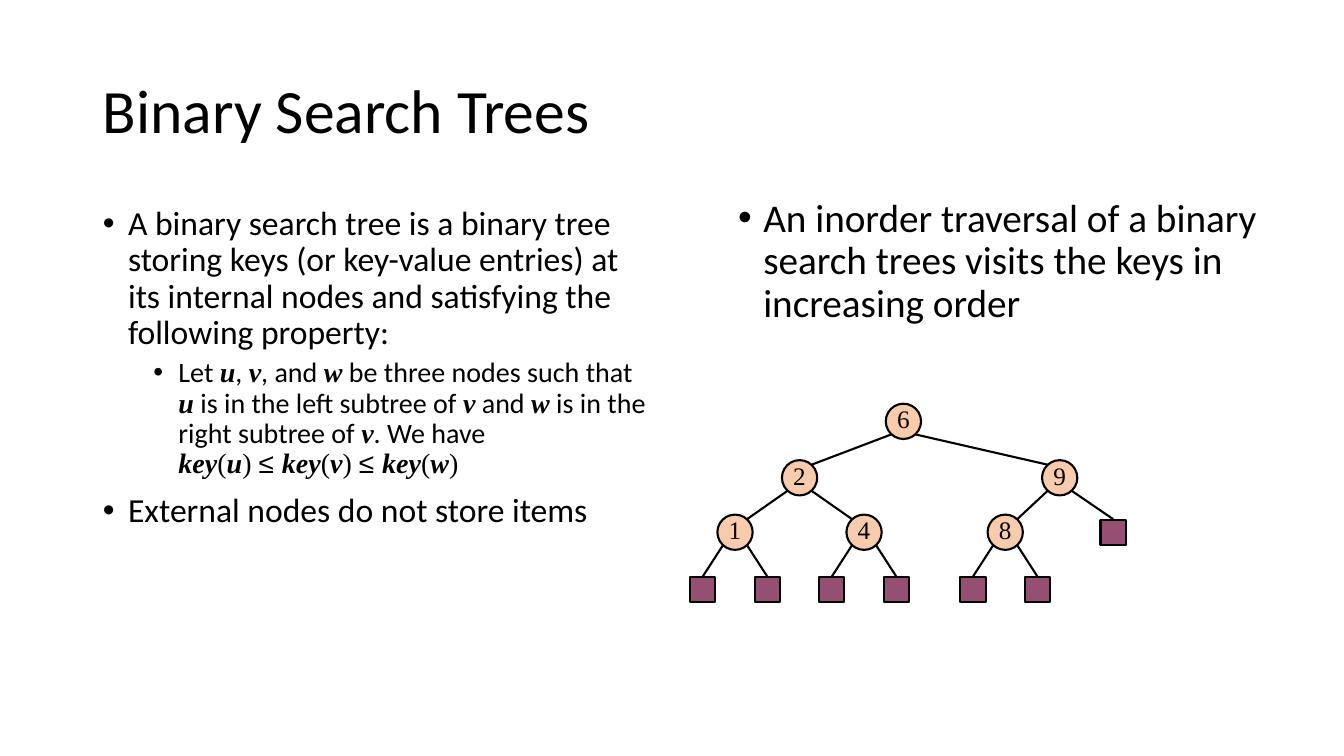
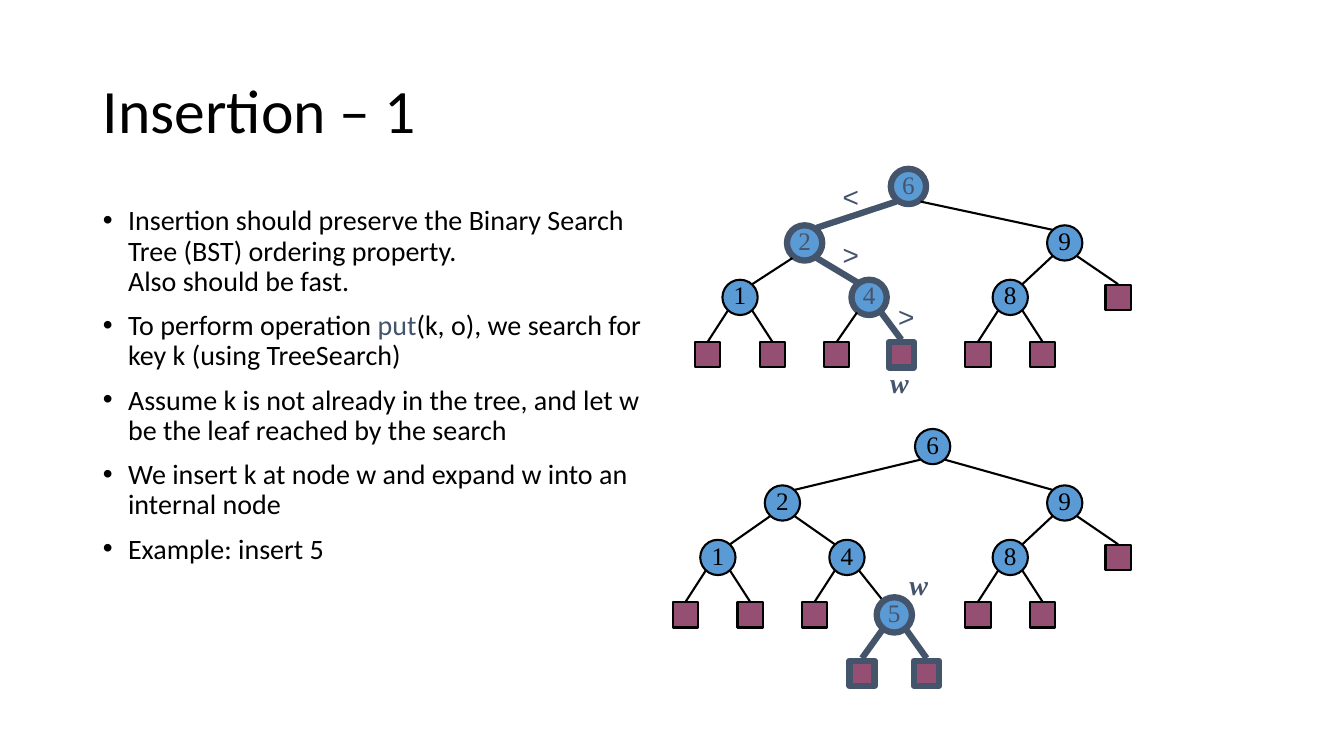
from dataclasses import dataclass
from lxml import etree
from pptx import Presentation
from pptx import util as u
from pptx.dml import color
from pptx.enum import shapes, text
from pptx.oxml import ns

COLORS = {
    "ink": "000000",
    "accent": "44546A",
    "peach": "F8CBAD",
    "blue": "5B9BD5",
    "leaf": "954F72",
}
SANS, SERIF, SYMBOL = "Calibri", "Times New Roman", "Arial"
STYLES = {
    "plain": (SANS, False, "ink"),
    "variable": (SERIF, True, "ink"),
    "math": (SERIF, False, "ink"),
    "symbol": (SYMBOL, False, "ink"),
    "accent": (SANS, False, "accent"),
    "comparison": (SYMBOL, False, "accent"),
    "marker": (SERIF, True, "accent"),
    "key": (SERIF, False, "ink"),
    "found key": (SERIF, False, "accent"),
}

TITLE_BOX = (0.92, 0.4, 11.5, 1.45)
BODY_BOX = (0.92, 2, 5.67, 4.76)
ASIDE_BOX = (7.22, 1.92, 5.44, 1.52)

LEVELS = (0.18, 0.74, 1.28, 1.85, 2.43)
CIRCLE, SQUARE = 0.35, 0.25
CORNER = 0.12
LEAF_SPREAD = 0.32


@dataclass
class Node:
    offset: float
    key: str = ""
    children: tuple = ()
    found: bool = False


def rgb(name):
    return color.RGBColor.from_string(COLORS[name])


def place(shape, box):
    shape.left, shape.top, shape.width, shape.height = map(u.Inches, box)


def style_run(run, style, size):
    family, emphasis, tint = STYLES[style]
    run.font.name = family
    run.font.size = u.Pt(size)
    run.font.bold = run.font.italic = emphasis
    run.font.color.rgb = rgb(tint)


def style_line(line, found):
    line.color.rgb = rgb("accent" if found else "ink")
    line.width = u.Pt(4.5 if found else 1.5)


def add_title(slide, wording):
    title = slide.shapes.title
    place(title, TITLE_BOX)
    frame = title.text_frame
    frame.text = wording
    frame.auto_size = text.MSO_AUTO_SIZE.NONE
    frame.vertical_anchor = text.MSO_ANCHOR.MIDDLE
    paragraph = frame.paragraphs[0]
    paragraph.alignment = text.PP_ALIGN.LEFT
    paragraph.line_spacing = 0.9
    style_run(paragraph.runs[0], "plain", 44)


def format_bullet(paragraph, level):
    paragraph.level = level
    paragraph.line_spacing = 0.9
    paragraph.space_before = u.Pt(5 if level else 10)
    properties = paragraph._p.get_or_add_pPr()
    properties.set("marL", str(u.Inches(0.25 + 0.5 * level)))
    properties.set("indent", str(u.Inches(-0.25)))
    etree.SubElement(properties, ns.qn("a:buFont"), typeface=SYMBOL)
    etree.SubElement(properties, ns.qn("a:buChar"), char="•")


def add_segments(paragraph, segments, size):
    for wording, style in segments:
        lines = wording.split("\n")
        for index, line in enumerate(lines):
            if index:
                paragraph.add_line_break()
            if line:
                run = paragraph.add_run()
                run.text = line
                style_run(run, style, size)
    for line_break in paragraph._p.findall(ns.qn("a:br")):
        etree.SubElement(line_break, ns.qn("a:rPr"), sz=str(size * 100))


def add_bullets(placeholder, box, bullets):
    place(placeholder, box)
    frame = placeholder.text_frame
    frame.auto_size = text.MSO_AUTO_SIZE.NONE
    for index, (level, size, segments) in enumerate(bullets):
        paragraph = frame.add_paragraph() if index else frame.paragraphs[0]
        format_bullet(paragraph, level)
        add_segments(paragraph, segments, size)


def marked(wording, emphasis):
    return [
        (part, emphasis if index % 2 else "plain")
        for index, part in enumerate(wording.split("|"))
    ]


def key_order(names):
    segments = []
    for index, name in enumerate(names):
        if index:
            segments += [(" ", "math"), ("≤ ", "symbol")]
        segments += [("key", "variable"), ("(", "math"), (name, "variable"), (")", "math")]
    return segments


def leaves(found=(False, False)):
    return tuple(
        Node(side * LEAF_SPREAD, found=mark) for side, mark in zip((-1, 1), found)
    )


def search_tree(root=2.13, left=-1.03, four=None, path_found=False):
    four = four or Node(0.64, "4", leaves((False, path_found)), path_found)
    one = Node(-0.64, "1", leaves())
    two = Node(left, "2", (one, four), path_found)
    eight = Node(-0.54, "8", leaves())
    nine = Node(3.68 - root, "9", (eight, Node(0.53)))
    return Node(root, "6", (two, nine), path_found)


def add_node(slide, node, x, y, fill):
    size = CIRCLE if node.key else SQUARE
    preset = shapes.MSO_SHAPE.OVAL if node.key else shapes.MSO_SHAPE.RECTANGLE
    box = map(u.Inches, (x - size / 2, y - size / 2, size, size))
    shape = slide.shapes.add_shape(preset, *box)
    shape.shadow.inherit = False
    shape.fill.solid()
    shape.fill.fore_color.rgb = rgb(fill if node.key else "leaf")
    style_line(shape.line, node.found)
    if node.key:
        frame = shape.text_frame
        frame.text = node.key
        frame.word_wrap = False
        frame.margin_left = frame.margin_right = frame.margin_top = 0
        frame.margin_bottom = u.Inches(0.05)
        frame.vertical_anchor = text.MSO_ANCHOR.MIDDLE
        frame.paragraphs[0].alignment = text.PP_ALIGN.CENTER
        style_run(frame.paragraphs[0].runs[0], "found key" if node.found else "key", 18)


def add_edge(slide, start, end, found):
    edge = slide.shapes.add_connector(
        shapes.MSO_CONNECTOR.STRAIGHT, *map(u.Inches, start + end)
    )
    style_line(edge.line, found)
    etree.SubElement(edge._element.spPr, ns.qn("a:effectLst"))


def reach(node):
    return 0.15 if node.found else 0.13


def add_tree(slide, origin, node, fill, parent_x=0, depth=0):
    left, top = origin
    x = parent_x + node.offset
    y = top + LEVELS[depth]
    add_node(slide, node, left + x, y, fill)
    for child in node.children:
        side = 1 if child.offset > 0 else -1
        child_x = left + x + child.offset
        child_y = top + LEVELS[depth + 1]
        start = (left + x + side * CORNER, y + reach(node))
        end = (child_x - (side * CORNER if child.key else 0), child_y - reach(child))
        add_edge(slide, start, end, node.found and child.found or (node.found and not child.key and child.found))
        add_tree(slide, origin, child, fill, x, depth + 1)


def add_labels(slide, origin, labels):
    for x, y, wording, style in labels:
        width = 0.39 if style == "marker" else 0.35
        box = map(u.Inches, (origin[0] + x, origin[1] + y, width, 0.43))
        frame = slide.shapes.add_textbox(*box).text_frame
        frame.text = wording
        frame.word_wrap = False
        frame.auto_size = text.MSO_AUTO_SIZE.SHAPE_TO_FIT_TEXT
        style_run(frame.paragraphs[0].runs[0], style, 20)


def build_definition(presentation):
    slide = presentation.slides.add_slide(presentation.slide_layouts[3])
    add_title(slide, "Binary Search Trees")
    condition = marked(
        "Let |u|, |v|, and |w| be three nodes such that |u| is in the left subtree of "
        "|v| and |w| is in the right subtree of |v|. We have \n",
        "variable",
    )
    add_bullets(slide.placeholders[1], BODY_BOX, [
        (0, 24, marked(
            "A binary search tree is a binary tree storing keys (or key-value entries) "
            "at its internal nodes and satisfying the following property:", "plain")),
        (1, 20, condition + key_order("uvw")),
        (0, 24, marked("External nodes do not store items", "plain")),
    ])
    add_bullets(slide.placeholders[2], ASIDE_BOX, [
        (0, 28, marked(
            "An inorder traversal of a binary search trees visits the keys in "
            "increasing order", "plain")),
    ])
    add_tree(slide, (6.83, 4), search_tree(), "peach")


def build_insertion(presentation):
    slide = presentation.slides.add_slide(presentation.slide_layouts[1])
    add_title(slide, "Insertion – 1")
    bullets = (
        "Insertion should preserve the Binary Search Tree (BST) ordering property.\n"
        "Also should be fast.",
        "To perform operation |put|(k, o), we search for key k (using TreeSearch)",
        "Assume k is not already in the tree, and let w be the leaf reached by the search",
        "We insert k at node w and expand w into an internal node",
        "Example: insert 5",
    )
    add_bullets(
        slide.placeholders[1], BODY_BOX,
        [(0, 20, marked(wording, "accent")) for wording in bullets],
    )
    before, after = (6.88, 1.67), (6.88, 4.25)
    add_tree(slide, before, search_tree(path_found=True), "blue")
    add_labels(slide, before, [
        (1.38, 0.06, "<", "comparison"),
        (1.38, 0.64, ">", "comparison"),
        (1.93, 1.25, ">", "comparison"),
        (1.85, 1.91, "w", "marker"),
    ])
    five = Node(0.47, "5", leaves((True, True)), True)
    four = Node(0.64, "4", (Node(-LEAF_SPREAD), five))
    add_tree(slide, after, search_tree(2.37, -1.49, four), "blue")
    add_labels(slide, after, [(2.04, 1.33, "w", "marker")])


def main():
    presentation = Presentation()
    presentation.slide_width = u.Inches(13.33)
    presentation.slide_height = u.Inches(7.5)
    build_definition(presentation)
    build_insertion(presentation)
    presentation.save("out.pptx")


if __name__ == "__main__":
    main()
